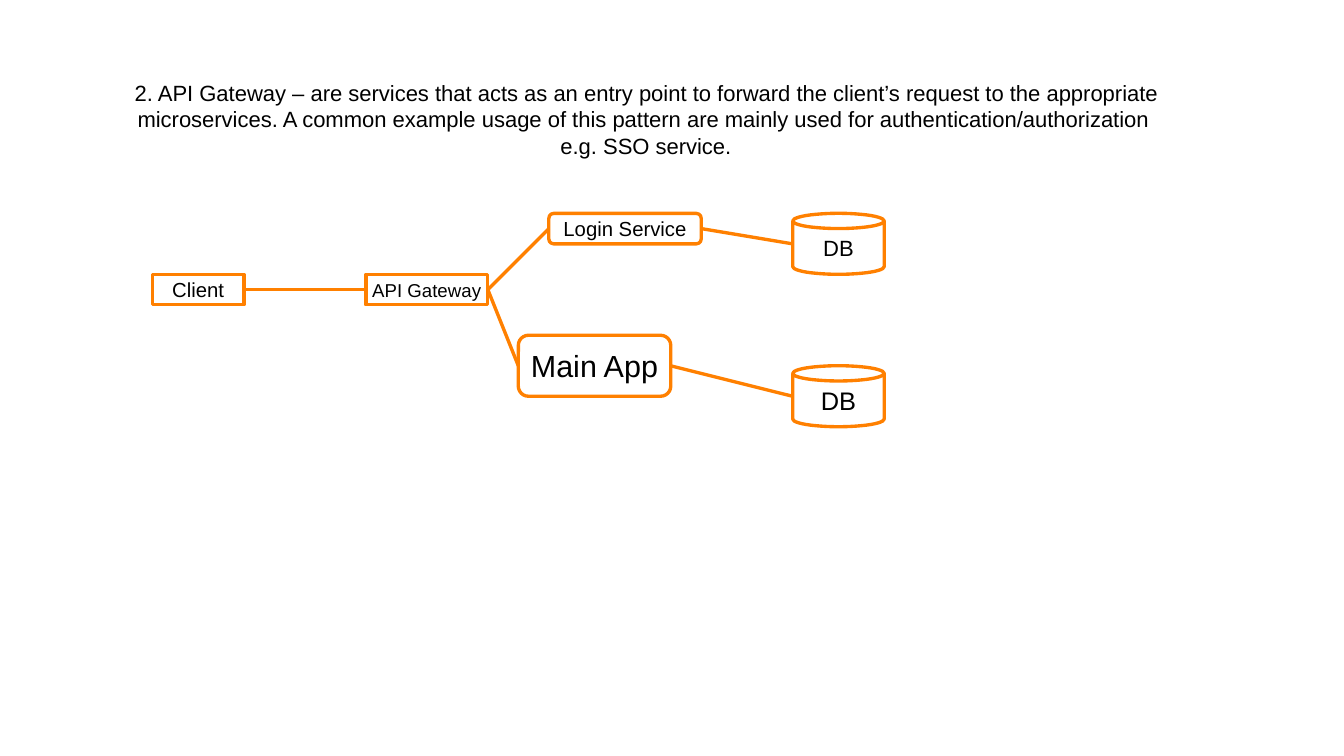
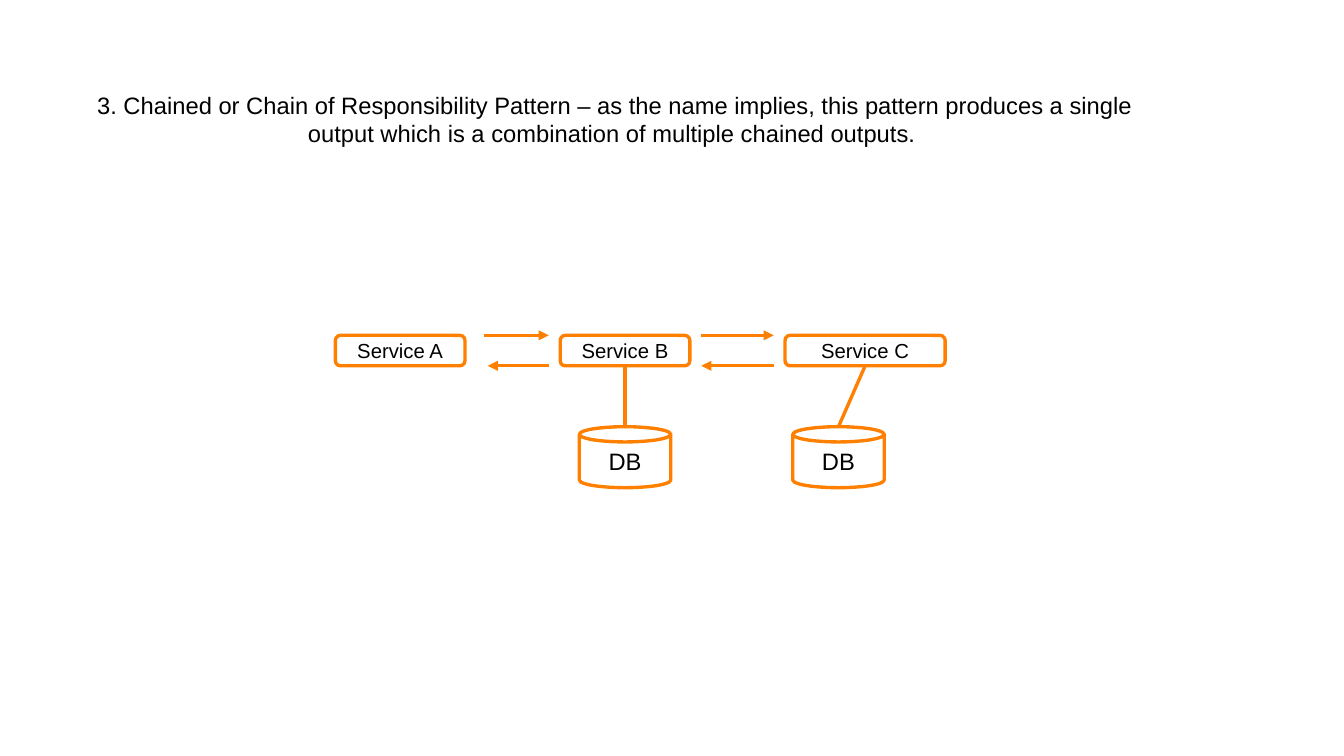
from dataclasses import dataclass

from lxml import etree
from pptx import Presentation
from pptx.dml.color import RGBColor
from pptx.enum import shapes, text
from pptx.oxml.ns import qn
from pptx.util import Pt


@dataclass(frozen=True)
class Theme:
    font: str = "Arial"
    ink: RGBColor = RGBColor(0, 0, 0)
    paper: RGBColor = RGBColor(255, 255, 255)
    accent: RGBColor = RGBColor(0xFF, 0x80, 0x00)
    stroke: float = 1.98
    small: int = 11
    label: int = 12
    body: int = 13
    lead: int = 14
    large: int = 15
    main: int = 18


theme = Theme()
RECT = shapes.MSO_SHAPE.RECTANGLE
ROUND = shapes.MSO_SHAPE.ROUNDED_RECTANGLE
CAN = shapes.MSO_SHAPE.CAN
TOP, LEFT, BOTTOM, RIGHT = range(4)


def write(frame, lines, size):
    """Fill a text frame with centred paragraphs in the theme font."""
    frame.vertical_anchor = text.MSO_ANCHOR.MIDDLE
    frame.text = "\n".join(lines)
    for para in frame.paragraphs:
        para.alignment = text.PP_ALIGN.CENTER
        para.font.name = theme.font
        para.font.size = Pt(size)
        para.font.color.rgb = theme.ink


def add_line(page, x1, y1, x2, y2, arrow=False):
    line = page.shapes.add_connector(shapes.MSO_CONNECTOR.STRAIGHT, x1, y1, x2, y2)
    line.line.color.rgb = theme.accent
    line.line.width = Pt(theme.stroke)
    properties = line._element.spPr
    if arrow:
        etree.SubElement(properties.find(qn("a:ln")), qn("a:tailEnd"), type="triangle")
    etree.SubElement(properties, qn("a:effectLst"))
    return line


# Boxes: name, label, shape, left, top, width, height, text size
# Links: from box, side, to box, side; arrows: x from, x to, y
gateway_page = {
    "title": [
        "2. API Gateway – are services that acts as an entry point to forward "
        "the client’s request to the appropriate microservices. A common example "
        "usage of this pattern are mainly used for authentication/authorization ",
        "e.g. SSO service.",
    ],
    "title_width": 677.5,
    "title_size": theme.body,
    "boxes": [
        ("client", "Client", RECT, 90, 162, 54, 18, theme.label),
        ("gateway", "API Gateway", RECT, 216, 162, 72, 18, theme.small),
        ("login", "Login Service", ROUND, 324, 126, 90, 18, theme.label),
        ("login db", "DB", CAN, 468, 126, 54, 36, theme.body),
        ("main", "Main App", ROUND, 306, 198, 90, 36, theme.main),
        ("main db", "DB", CAN, 468, 216, 54, 36, theme.large),
    ],
    "links": [
        ("client", RIGHT, "gateway", LEFT),
        ("gateway", RIGHT, "login", LEFT),
        ("gateway", RIGHT, "main", LEFT),
        ("login", RIGHT, "login db", LEFT),
        ("main", RIGHT, "main db", LEFT),
    ],
    "arrows": [],
}

chain_top, chain_bottom = 198, 216
services = [
    (letter, f"Service {letter}", ROUND, 198 + 132.75 * i, chain_top, width, 18, theme.label)
    for i, (letter, width) in enumerate([("A", 76.5), ("B", 76.5), ("C", 94.5)])
]
databases = [
    (f"{letter} db", "DB", CAN, left, 252, 54, 36, theme.lead)
    for letter, left in [("B", 342), ("C", 468)]
]
chain_page = {
    "title": [
        "3. Chained or Chain of Responsibility Pattern – as the name implies, this "
        "pattern produces a single output which is a combination of multiple "
        "chained outputs. ",
    ],
    "title_width": 641.5,
    "title_size": theme.lead,
    "boxes": services + databases,
    "links": [(letter, BOTTOM, f"{letter} db", TOP) for letter in "BC"],
    "arrows": [
        (286, 324, chain_top),
        (414, 456.75, chain_top),
        (456.75, 414, chain_bottom),
        (324, 288, chain_bottom),
    ],
}

deck = Presentation()
deck.slide_width, deck.slide_height = Pt(793.44), Pt(446.4)

for content in (gateway_page, chain_page):
    page = deck.slides.add_slide(deck.slide_layouts[6])
    page.background.fill.solid()
    page.background.fill.fore_color.rgb = theme.paper

    title = page.shapes.add_textbox(Pt(42.5), Pt(14.4), Pt(content["title_width"]), Pt(111.6))
    frame = title.text_frame
    frame.word_wrap = True
    frame.margin_left = frame.margin_right = frame.margin_top = frame.margin_bottom = 0
    write(frame, content["title"], content["title_size"])

    boxes = {}
    for name, label, kind, left, top, width, height, size in content["boxes"]:
        box = page.shapes.add_shape(kind, Pt(left), Pt(top), Pt(width), Pt(height))
        box.shadow.inherit = False
        box.fill.solid()
        box.fill.fore_color.rgb = theme.paper
        box.line.color.rgb = theme.accent
        box.line.width = Pt(theme.stroke)
        box.text_frame.word_wrap = False
        write(box.text_frame, [label], size)
        boxes[name] = box

    for start, start_side, end, end_side in content["links"]:
        target = boxes[end]
        if end_side == TOP:
            x, y = target.left + target.width // 2, target.top
        else:
            x, y = target.left, target.top + target.height // 2
        link = add_line(page, x, y, x, y)
        link.begin_connect(boxes[start], start_side)
        # A can numbers its connection sites differently, so its end stays free.
        if target.auto_shape_type != CAN:
            link.end_connect(target, end_side)

    for x1, x2, y in content["arrows"]:
        add_line(page, Pt(x1), Pt(y), Pt(x2), Pt(y), arrow=True)

deck.save("out.pptx")
